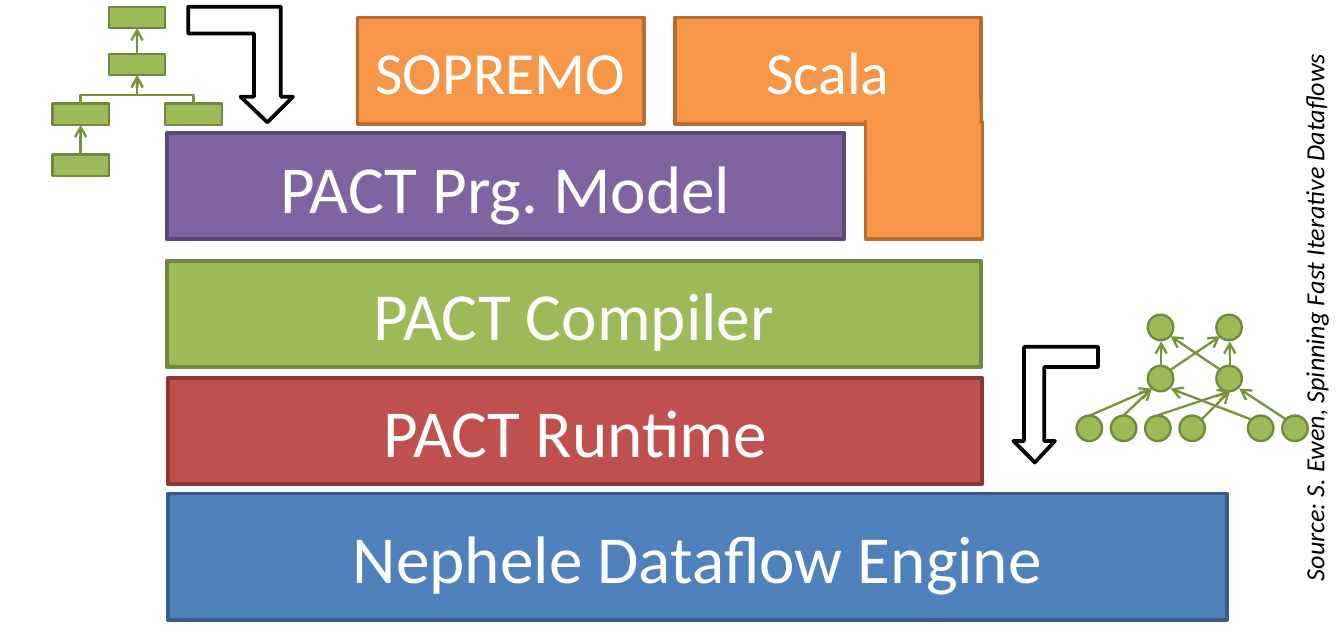
from dataclasses import dataclass
from typing import Any, NamedTuple

from lxml import etree
from pptx import Presentation
from pptx import util as u
from pptx.dml.color import RGBColor
from pptx.enum import shapes, text
from pptx.oxml.ns import qn

# The grid has square cells: 100 columns by 47.3 rows.
COLUMNS, ROWS = 100, 47.3
CELL = u.Inches(0.1)


class Paint(NamedTuple):
    fill: str
    line: str


@dataclass(frozen=True)
class Theme:
    font: str = "Calibri"
    layer_size: int = 36
    language_size: int = 32
    source_size: int = 14
    thick: float = 2
    thin: float = 1.25
    light: str = "FFFFFF"
    dark: str = "000000"
    edge: str = "77933C"
    blue: Paint = Paint("4F81BD", "385D8A")
    red: Paint = Paint("C0504D", "8C3836")
    green: Paint = Paint("9BBB59", "71893F")
    purple: Paint = Paint("8064A2", "5C4776")
    orange: Paint = Paint("F79646", "B66D31")
    outline: Paint = Paint("FFFFFF", "000000")


THEME = Theme()


class Layer(NamedTuple):
    label: str
    left: float
    top: float
    width: float
    height: float
    paint: Paint
    size: int = THEME.layer_size


class Node(NamedTuple):
    left: float
    top: float


class Edge(NamedTuple):
    x1: float
    y1: float
    x2: float
    y2: float


BASE_LAYERS = (
    Layer("Nephele Dataflow Engine", 12.5, 36.7, 78.8, 9.4, THEME.blue),
    Layer("PACT Runtime", 12.5, 28.1, 60.6, 7.9, THEME.red),
)
MODEL = Layer("PACT Prg. Model", 12.4, 9.9, 50.4, 7.9, THEME.purple)
TOP_LAYERS = (
    Layer("SOPREMO", 26.6, 1.3, 21.3, 7.9, THEME.orange, THEME.language_size),
    Layer("Scala", 50.2, 1.3, 22.8, 7.9, THEME.orange, THEME.language_size),
    Layer("", 64.4, 9.1, 8.7, 8.7, THEME.orange),
    Layer("PACT Compiler", 12.4, 19.4, 60.6, 7.9, THEME.green),
)

TREE_WIDTH, TREE_HEIGHT = 4.2, 1.6
TREE_NODES = {
    "root": Node(8.1, 0.5),
    "join": Node(8.1, 4),
    "left": Node(3.9, 7.7),
    "right": Node(12.3, 7.7),
    "leaf": Node(3.9, 11.5),
}
TREE_LINKS = (("leaf", "left"), ("right", "join"), ("left", "join"), ("join", "root"))
ELBOW_BEND = 0.3

CIRCLE = 1.9
LEAF_PITCH = 2.55
NETWORK_NODES = (
    [Node(80.1 + LEAF_PITCH * column, 30.9) for column in (0, 1, 2, 3, 5, 6)]
    + [Node(left, top) for left in (85.4, 90.5) for top in (27.2, 23.4)]
)
NETWORK_EDGES = (
    Edge(81.1, 30.9, 85.7, 28.9), Edge(83.6, 30.9, 85.7, 28.9),
    Edge(86.1, 30.9, 91.5, 29.1), Edge(89.4, 31.2, 91.5, 29.1),
    Edge(93.1, 31.2, 87.1, 28.9), Edge(95.7, 31.2, 92.2, 28.9),
    Edge(86.4, 27.3, 86.4, 25.4), Edge(91.5, 27.3, 91.5, 25.4),
    Edge(87.1, 27.5, 90.8, 25), Edge(90.8, 27.5, 87.1, 25),
)

TURN_ARROWS = (
    ((81.7, 27.3), (77.7, 27.3), (77.7, 32.8), (78.5, 32.8), (77, 34.4),
     (75.4, 32.8), (76.2, 32.8), (76.2, 25.8), (81.7, 25.8)),
    ((14, 2.5), (18.9, 2.5), (18.9, 7.2), (17.9, 7.2), (19.9, 9.1),
     (21.8, 7.2), (20.9, 7.2), (20.9, 0.5), (14, 0.5)),
)


def cells(*lengths: float) -> list[int]:
    """Turn grid lengths into slide units."""
    return [round(length * CELL) for length in lengths]


def paint_shape(shape: Any, paint: Paint, weight: float) -> None:
    shape.shadow.inherit = False
    shape.fill.solid()
    shape.fill.fore_color.rgb = RGBColor.from_string(paint.fill)
    if weight:
        shape.line.color.rgb = RGBColor.from_string(paint.line)
        shape.line.width = u.Pt(weight)
    else:
        shape.line.fill.background()


def add_block(parent: Any, kind: Any, area: tuple, paint: Paint, weight: float) -> Any:
    shape = parent.shapes.add_shape(kind, *cells(*area))
    paint_shape(shape, paint, weight)
    return shape


def write(shape: Any, words: str, *, size: float, color: str,
          italic: bool = False, align: Any = text.PP_ALIGN.LEFT) -> None:
    para = shape.text_frame.paragraphs[0]
    para.alignment = align
    span = para.add_run()
    span.text = words
    span.font.name, span.font.size, span.font.italic = THEME.font, u.Pt(size), italic
    span.font.color.rgb = RGBColor.from_string(color)


def add_layer(page: Any, layer: Layer) -> None:
    area = (layer.left, layer.top, layer.width, layer.height)
    box = add_block(page, shapes.MSO_SHAPE.RECTANGLE, area, layer.paint, THEME.thick)
    box.text_frame.word_wrap = True
    box.text_frame.vertical_anchor = text.MSO_ANCHOR.MIDDLE
    if layer.label:
        write(box, layer.label, size=layer.size, color=THEME.light,
              align=text.PP_ALIGN.CENTER)


def add_arrow(parent: Any, kind: Any, edge: Edge) -> Any:
    arrow = parent.shapes.add_connector(kind, *cells(*edge))
    arrow.line.color.rgb = RGBColor.from_string(THEME.edge)
    arrow.line.width = u.Pt(THEME.thin)
    properties = arrow._element.spPr
    etree.SubElement(properties.find(qn("a:ln")), qn("a:tailEnd"), type="arrow")
    etree.SubElement(properties, qn("a:effectLst"))
    return arrow


def add_elbow(parent: Any, edge: Edge) -> None:
    """Draw an upward elbow: lay it out sideways, then turn it by 270 degrees."""
    middle_x, middle_y = (edge.x1 + edge.x2) / 2, (edge.y1 + edge.y2) / 2
    rise, run = (edge.y1 - edge.y2) / 2, (edge.x2 - edge.x1) / 2
    sideways = Edge(middle_x - rise, middle_y - run, middle_x + rise, middle_y + run)
    arrow = add_arrow(parent, shapes.MSO_CONNECTOR.ELBOW, sideways)
    properties = arrow._element.spPr
    properties.find(qn("a:xfrm")).set("rot", str(270 * 60000))
    guides = properties.find(qn("a:prstGeom")).find(qn("a:avLst"))
    etree.SubElement(guides, qn("a:gd"), name="adj1",
                     fmla=f"val {round(ELBOW_BEND * 100000)}")


def add_tree(page: Any) -> None:
    group = page.shapes.add_group_shape()
    boxes = {
        name: add_block(group, shapes.MSO_SHAPE.RECTANGLE,
                        (*node, TREE_WIDTH, TREE_HEIGHT), THEME.green, THEME.thin)
        for name, node in TREE_NODES.items()
    }
    for child, parent in TREE_LINKS:
        start, end = TREE_NODES[child], TREE_NODES[parent]
        edge = Edge(start.left + TREE_WIDTH / 2, start.top,
                    end.left + TREE_WIDTH / 2, end.top + TREE_HEIGHT)
        if start.left == end.left:
            arrow = add_arrow(group, shapes.MSO_CONNECTOR.STRAIGHT, edge)
            arrow.begin_connect(boxes[child], 0)
            arrow.end_connect(boxes[parent], 2)
        else:
            add_elbow(group, edge)


def add_network(page: Any) -> None:
    group = page.shapes.add_group_shape()
    for node in NETWORK_NODES:
        add_block(group, shapes.MSO_SHAPE.OVAL, (*node, CIRCLE, CIRCLE),
                  THEME.green, THEME.thin)
    for edge in NETWORK_EDGES:
        add_arrow(group, shapes.MSO_CONNECTOR.STRAIGHT, edge)


def add_turn_arrow(page: Any, points: tuple) -> None:
    start, *others = [cells(*point) for point in points]
    builder = page.shapes.build_freeform(*start)
    builder.add_line_segments(others, close=True)
    paint_shape(builder.convert_to_shape(), THEME.outline, THEME.thick)


def add_source(page: Any) -> None:
    box = page.shapes.add_textbox(*cells(77.1, 21.8, 41.4, 3.4))
    box.rotation = 270
    box.text_frame.word_wrap = False
    box.text_frame.auto_size = text.MSO_AUTO_SIZE.SHAPE_TO_FIT_TEXT
    write(box, "Source: S. Ewen, Spinning Fast Iterative Dataflows",
          size=THEME.source_size, color=THEME.dark, italic=True)


def main() -> None:
    deck = Presentation()
    deck.slide_width, deck.slide_height = cells(COLUMNS, ROWS)
    page = deck.slides.add_slide(deck.slide_layouts[6])
    for layer in BASE_LAYERS:
        add_layer(page, layer)
    add_network(page)
    add_tree(page)
    add_layer(page, MODEL)
    for points in TURN_ARROWS:
        add_turn_arrow(page, points)
    for layer in TOP_LAYERS:
        add_layer(page, layer)
    # A borderless block hides the seam between the two parts of the Scala layer.
    add_block(page, shapes.MSO_SHAPE.RECTANGLE, (64.5, 7.6, 8.4, 5.5), THEME.orange, 0)
    add_source(page)
    deck.save("out.pptx")


if __name__ == "__main__":
    main()
